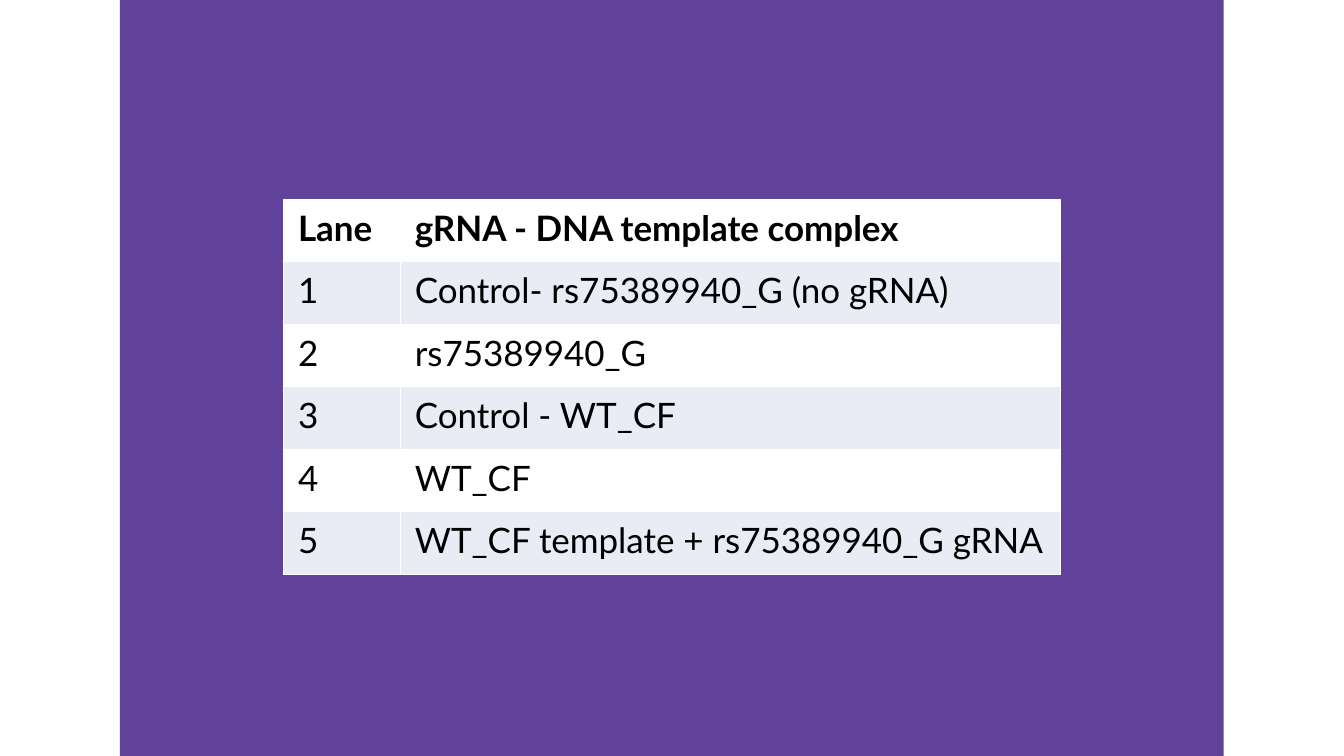
import lxml.etree
import pptx
import pptx.dml.color
import pptx.enum.shapes
import pptx.oxml.ns
import pptx.util

Pt = pptx.util.Pt
HEAD = ("Lane", "gRNA - DNA template complex")
LANES = (
    "Control- rs75389940_G (no gRNA)",
    "rs75389940_G",
    "Control - WT_CF",
    "WT_CF",
    "WT_CF template + rs75389940_G gRNA",
)
WIDTHS = (83.5, 471.6)
ROW = 44.64


def paint(fill, color):
    fill.solid()
    fill.fore_color.rgb = pptx.dml.color.RGBColor.from_string(color)


def write(frame, text, font="Lato", size=25, color="000000", bold=False):
    run = frame.paragraphs[0].add_run()
    run.text = text
    run.font.name = font
    run.font.size = Pt(size)
    run.font.bold = bold
    paint(run.font.fill, color)


def border(cell, color, width):
    """Draw the four edges of a cell; they must precede its fill."""
    qn = pptx.oxml.ns.qn
    props = cell._tc.get_or_add_tcPr()
    for side in ("lnL", "lnR", "lnT", "lnB"):
        line = lxml.etree.SubElement(props, qn("a:" + side), w=str(Pt(width)))
        fill = lxml.etree.SubElement(line, qn("a:solidFill"))
        lxml.etree.SubElement(fill, qn("a:srgbClr"), val=color)


def add_panel(slide, left, top, width, height, color):
    kind = pptx.enum.shapes.MSO_SHAPE.RECTANGLE
    panel = slide.shapes.add_shape(kind, Pt(left), Pt(top), Pt(width), Pt(height))
    panel.shadow.inherit = False
    panel.line.fill.background()
    paint(panel.fill, color)


def add_grid(slide, left, top, rows):
    frame = slide.shapes.add_table(
        len(rows), len(WIDTHS), Pt(left), Pt(top),
        Pt(sum(WIDTHS)), Pt(ROW * len(rows)))
    table = frame.table
    for column, width in zip(table.columns, WIDTHS):
        column.width = Pt(width)
    for r, texts in enumerate(rows):
        table.rows[r].height = Pt(ROW)
        for c, text in enumerate(texts):
            cell = table.cell(r, c)
            cell.margin_left = cell.margin_right = Pt(10.6)
            cell.margin_top = cell.margin_bottom = Pt(5.3)
            border(cell, "FFFFFF", 1)
            paint(cell.fill, "E9EBF5" if r % 2 else "FFFFFF")
            write(cell.text_frame, text, bold=r == 0)


def main():
    deck = pptx.Presentation()
    deck.slide_width, deck.slide_height = Pt(960), Pt(540)
    slide = deck.slides.add_slide(deck.slide_layouts[6])
    paint(slide.background.fill, "FFFFFF")
    add_panel(slide, 85.7, 0, 788.4, 540, "61429B")
    lanes = [(str(n), text) for n, text in enumerate(LANES, 1)]
    add_grid(slide, 202.3, 142.4, [HEAD] + lanes)
    deck.save("out.pptx")


if __name__ == "__main__":
    main()
